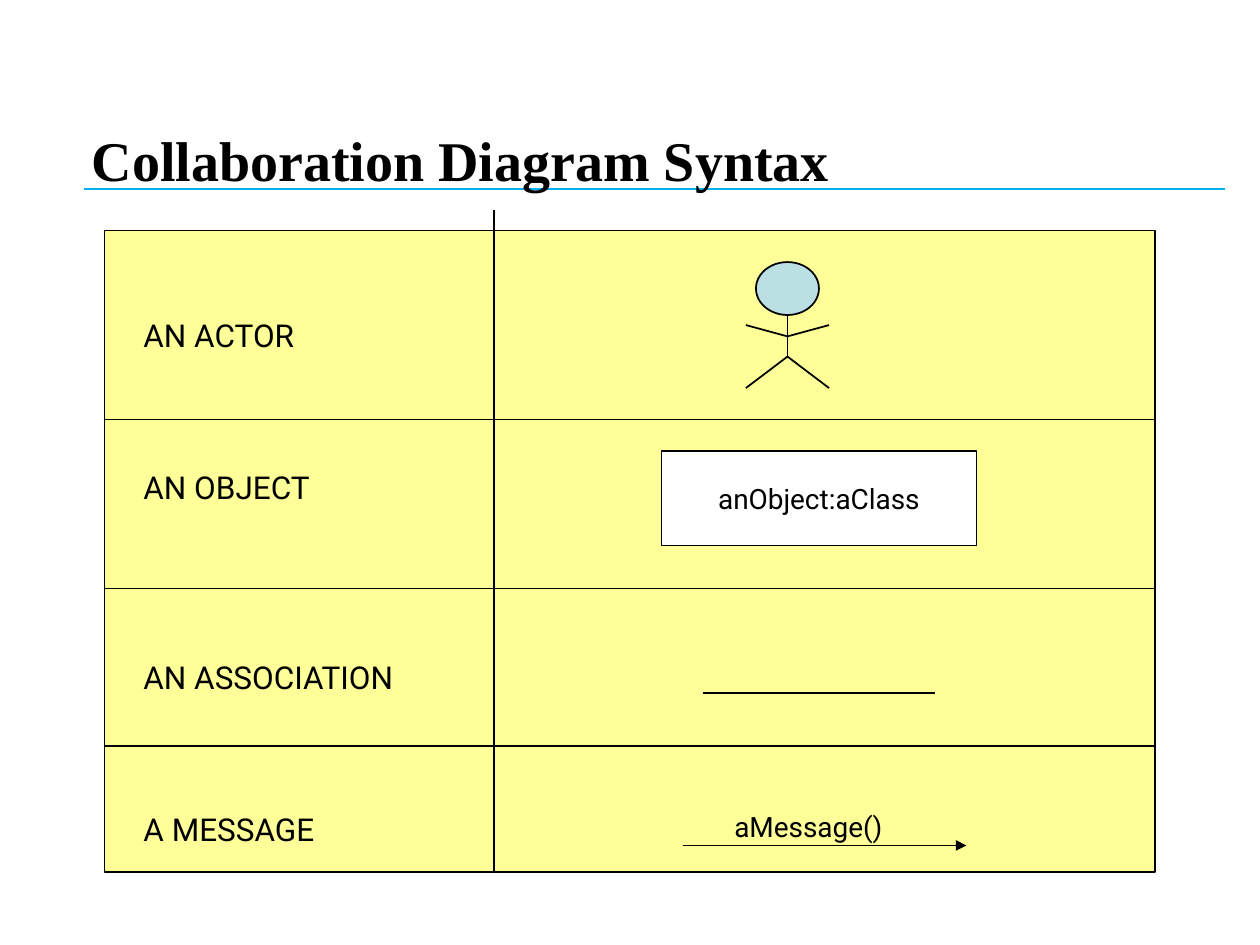
from dataclasses import dataclass

from lxml import etree
from pptx import Presentation, util as u
from pptx.dml.color import RGBColor
from pptx.enum import shapes, text
from pptx.oxml import ns

Inches, Pt = u.Inches, u.Pt


@dataclass(frozen=True)
class Theme:
    ink: str = "000000"
    rule: str = "00B0F0"
    panel: str = "FFFF99"
    head: str = "BBE0E3"
    paper: str = "FFFFFF"
    title_font: str = "Times New Roman"
    body_font: str = "Roboto"
    title_size: int = 32
    label_size: int = 18
    symbol_size: int = 16
    thin: float = 1
    thick: float = 1.5


THEME = Theme()
LEFT, RIGHT, TOP, BOTTOM = 0.83, 9.17, 1.83, 6.92
DIVIDER_X = 3.92
ROW_EDGES = (3.33, 4.67, 5.92)
# Each row label with the space before it, in points
LABELS = (("AN ACTOR", 0), ("AN OBJECT", 65.2),
          ("AN ASSOCIATION", 86.9), ("A MESSAGE", 65.2))


def add_line(parent, start, end, color=THEME.ink, width=THEME.thin, arrow=False):
    c = parent.add_connector(shapes.MSO_CONNECTOR.STRAIGHT,
                             *(Inches(v) for v in (*start, *end)))
    c.line.color.rgb = RGBColor.from_string(color)
    c.line.width = Pt(width)
    if arrow:
        etree.SubElement(c.line._get_or_add_ln(), ns.qn("a:tailEnd"), type="triangle")
    etree.SubElement(c._element.spPr, ns.qn("a:effectLst"))
    return c


def add_box(parent, kind, at, fill):
    sp = parent.add_shape(kind, *(Inches(v) for v in at))
    sp.shadow.inherit = False
    sp.fill.solid()
    sp.fill.fore_color.rgb = RGBColor.from_string(fill)
    sp.line.color.rgb = RGBColor.from_string(THEME.ink)
    sp.line.width = Pt(THEME.thin)
    return sp


def add_run(p, words, size, font=THEME.body_font, bold=False):
    r = p.add_run()
    r.text = words
    r.font.name, r.font.size, r.font.bold = font, Pt(size), bold
    r.font.color.rgb = RGBColor.from_string(THEME.ink)


def add_text(parent, at, anchor=text.MSO_ANCHOR.TOP):
    """Add an empty wrapping text box and return its text frame."""
    tf = parent.add_textbox(*(Inches(v) for v in at)).text_frame
    tf.word_wrap = True
    tf.vertical_anchor = anchor
    return tf


def add_title(s):
    add_line(s.shapes, (0.67, 1.5), (9.72, 1.5), THEME.rule, THEME.thick)
    tf = add_text(s.shapes, (0.63, 0.33, 8.5, 1.25), text.MSO_ANCHOR.BOTTOM)
    add_run(tf.paragraphs[0], "Collaboration Diagram Syntax",
            THEME.title_size, THEME.title_font, bold=True)


def add_panel(s):
    add_box(s.shapes, shapes.MSO_SHAPE.RECTANGLE,
            (LEFT, TOP, RIGHT - LEFT, BOTTOM - TOP), THEME.panel)
    add_line(s.shapes, (DIVIDER_X, 1.67), (DIVIDER_X, BOTTOM))
    for y in ROW_EDGES:
        add_line(s.shapes, (LEFT, y), (RIGHT, y))


def add_labels(s):
    tf = add_text(s.shapes, (1.04, 2.46, 2.25, 4.27))
    for i, (label, gap) in enumerate(LABELS):
        p = tf.add_paragraph() if i else tf.paragraphs[0]
        if gap:
            p.space_before = Pt(gap)
        add_run(p, label, THEME.label_size)


def add_actor(s):
    g = s.shapes.add_group_shape().shapes
    x, reach = 6.25, 0.33
    shoulder, hip = (x, 2.67), (x, 2.83)
    add_box(g, shapes.MSO_SHAPE.OVAL, (x - 0.25, 2.08, 0.5, 0.42), THEME.head)
    add_line(g, (x, 2.5), hip)
    for side in (-reach, reach):
        add_line(g, shoulder, (x + side, 2.58))
        add_line(g, hip, (x + side, 3.08))


def add_object(s):
    sp = add_box(s.shapes, shapes.MSO_SHAPE.RECTANGLE, (5.25, 3.58, 2.5, 0.75), THEME.paper)
    tf = sp.text_frame
    tf.vertical_anchor = text.MSO_ANCHOR.MIDDLE
    p = tf.paragraphs[0]
    p.alignment = text.PP_ALIGN.CENTER
    add_run(p, "anObject:aClass", THEME.symbol_size)


def add_message(s):
    g = s.shapes.add_group_shape().shapes
    add_line(g, (5.42, 6.71), (7.67, 6.71), arrow=True)
    tf = add_text(g, (5.73, 6.38, 1.4, 0.37))
    add_run(tf.paragraphs[0], "aMessage()", THEME.symbol_size)


def main():
    prs = Presentation()
    prs.slide_width, prs.slide_height = Inches(10), Inches(7.5)
    s = prs.slides.add_slide(prs.slide_layouts[6])
    add_title(s)
    add_panel(s)
    add_labels(s)
    add_actor(s)
    add_object(s)
    add_line(s.shapes, (5.58, 5.5), (7.42, 5.5))
    add_message(s)
    prs.save("out.pptx")


if __name__ == "__main__":
    main()
